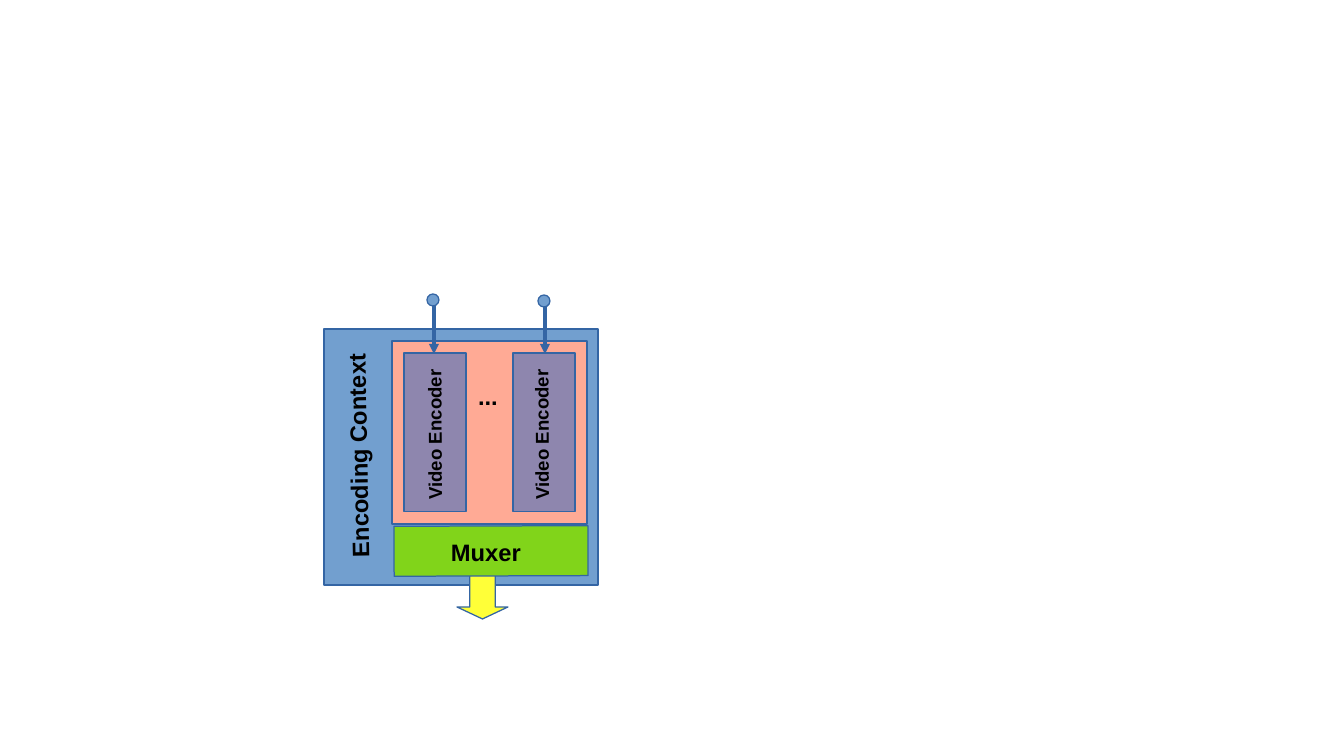
from pptx import Presentation
from pptx.dml.color import RGBColor
from pptx.enum.shapes import MSO_CONNECTOR, MSO_SHAPE
from pptx.enum.text import MSO_AUTO_SIZE
from pptx.oxml.ns import qn
from pptx.util import Pt
from lxml import etree

RECTANGLE = MSO_SHAPE.RECTANGLE
OVAL = MSO_SHAPE.OVAL
DOWN_ARROW = MSO_SHAPE.DOWN_ARROW
STRAIGHT = MSO_CONNECTOR.STRAIGHT
FIT_SHAPE = MSO_AUTO_SIZE.SHAPE_TO_FIT_TEXT

PX = 914400 / 122
THEME = {
    "font": "Arial",
    "title": 14,
    "label": 11,
    "text": "000000",
    "line": "3465A4",
    "context": "729FCF",
    "output": "FFFF38",
    "muxer": "81D41A",
    "group": "FFAA95",
    "encoder": "8E86AE",
}

deck = Presentation()
deck.slide_width = round(1344 * PX)
deck.slide_height = round(756 * PX)
page = deck.slides.add_slide(deck.slide_layouts[6])


def add_block(kind, fill, left, top, width, height):
    bounds = [round(value * PX) for value in (left, top, width, height)]
    block = page.shapes.add_shape(kind, *bounds)
    block.shadow.inherit = False
    block.fill.solid()
    block.fill.fore_color.rgb = RGBColor.from_string(THEME[fill])
    block.line.color.rgb = RGBColor.from_string(THEME["line"])
    block.line.width = 0
    return block


def add_label(text, size, left, top, width, height, rotation=0, wrap=True):
    bounds = [round(value * PX) for value in (left, top, width, height)]
    box = page.shapes.add_textbox(*bounds)
    box.rotation = rotation
    frame = box.text_frame
    frame.word_wrap = wrap
    frame.auto_size = FIT_SHAPE
    frame.text = text
    font = frame.paragraphs[0].runs[0].font
    font.name = THEME["font"]
    font.size = Pt(THEME[size])
    font.bold = True
    font.color.rgb = RGBColor.from_string(THEME["text"])


add_block(RECTANGLE, "context", 324, 329, 274, 256)
add_label("Encoding Context", "title", 243, 436, 228, 39, 268.8, False)

output_arrow = add_block(DOWN_ARROW, "output", 457, 571, 51, 48)
output_arrow.adjustments[0] = 0.5
output_arrow.adjustments[1] = 0.25
muxer = add_block(RECTANGLE, "muxer", 466, 454, 50, 194)
muxer.rotation = 89.8
add_label("Muxer", "title", 439, 532, 98, 39)

add_block(RECTANGLE, "group", 392, 341, 195, 183)
for left in (404, 513):
    add_block(RECTANGLE, "encoder", left, 353, 62, 159)
add_label("...", "title", 466, 376, 57, 41)
for left in (351, 458):
    add_label("Video Encoder", "label", left, 407, 171, 39, 269.6)

for x in (434, 545):
    ends = [round(value * PX) for value in (x, 305, x, 354)]
    feed = page.shapes.add_connector(STRAIGHT, *ends)
    feed.line.color.rgb = RGBColor.from_string(THEME["line"])
    feed.line.width = 0
    outline = feed.line._get_or_add_ln()
    etree.SubElement(outline, qn("a:tailEnd"), type="triangle")
    etree.SubElement(feed._element.spPr, qn("a:effectLst"))

for left, top in ((427, 294), (538, 295)):
    add_block(OVAL, "context", left, top, 12, 12)

deck.save("out.pptx")
